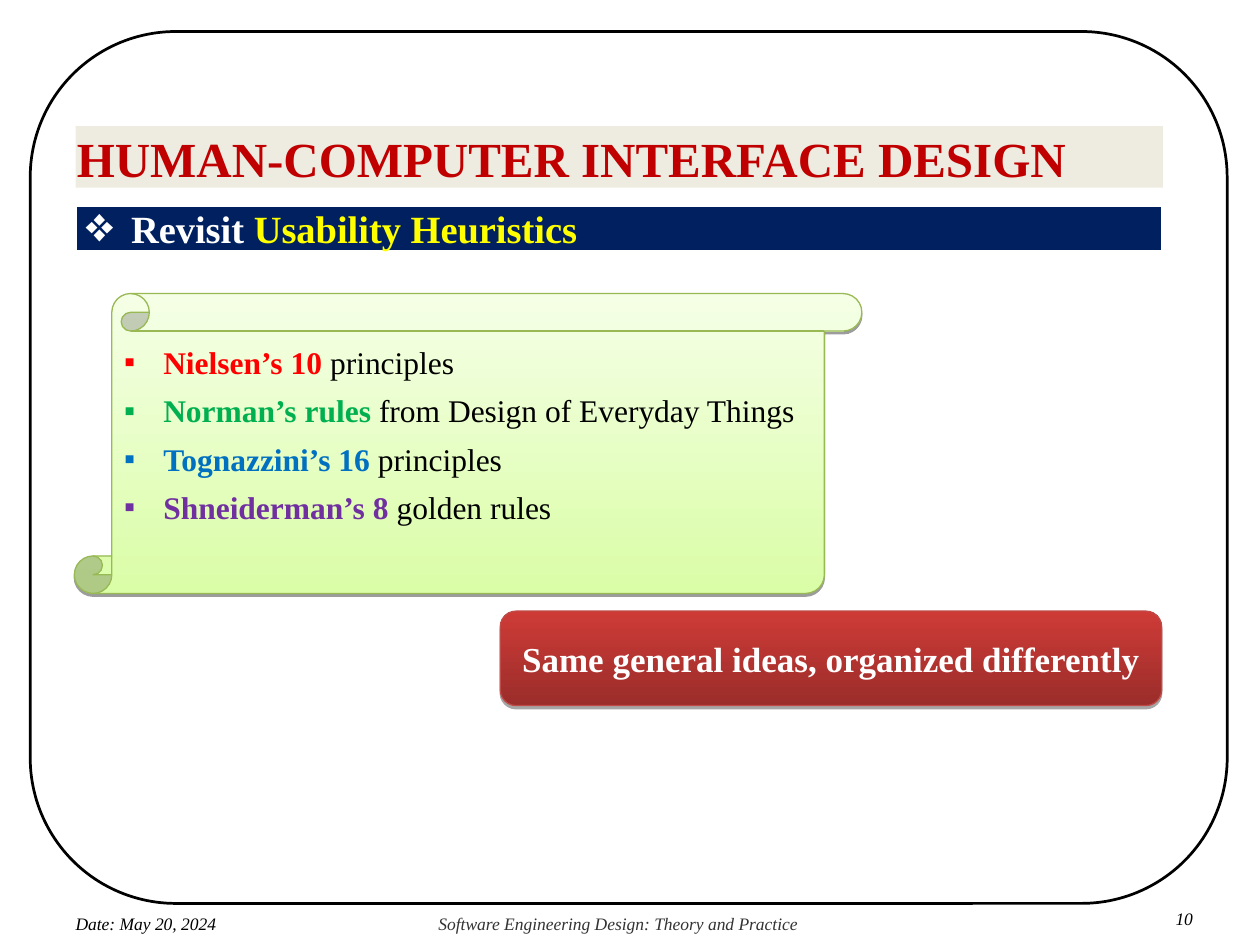
from lxml import etree
from pptx import Presentation
from pptx.dml.color import RGBColor
from pptx.enum.shapes import MSO_SHAPE
from pptx.enum.text import MSO_ANCHOR, MSO_AUTO_SIZE, PP_ALIGN
from pptx.oxml.ns import qn
from pptx.util import Inches, Pt

FONT = "Times New Roman"
ROUND = MSO_SHAPE.ROUNDED_RECTANGLE
SCROLL = MSO_SHAPE.VERTICAL_SCROLL
TOP, MIDDLE = MSO_ANCHOR.TOP, MSO_ANCHOR.MIDDLE
LEFT, CENTER = PP_ALIGN.LEFT, PP_ALIGN.CENTER
FIXED = MSO_AUTO_SIZE.NONE

RULES = [
    ("Nielsen’s 10 ", "principles", "FF0000"),
    ("Norman’s rules ", "from Design of Everyday Things", "00B050"),
    ("Tognazzini’s 16 ", "principles", "0070C0"),
    ("Shneiderman’s 8", " golden rules", "7030A0"),
]
FOOTERS = [
    ("Date: May 20, 2024", 0.59, 7.25, 1.58, 0.01, "000000"),
    ("Software Engineering Design: Theory and Practice",
     3.47, 7.25, 2.89, 0.01, "333333"),
    ("10", 9.22, 7.21, 0.27, 0.11, "000000"),
]


def color(code):
    return RGBColor.from_string(code)


def style(run, size, code, bold=False, italic=False):
    font = run.font
    font.name, font.size = FONT, Pt(size)
    font.bold, font.italic = bold, italic
    font.color.rgb = color(code)


def setup(frame, left, top, right, bottom, anchor=TOP):
    frame.word_wrap = True
    frame.auto_size = FIXED
    frame.vertical_anchor = anchor
    frame.margin_left, frame.margin_top = Inches(left), Inches(top)
    frame.margin_right, frame.margin_bottom = Inches(right), Inches(bottom)


def place(shape, left, top, width, height):
    shape.left, shape.top = Inches(left), Inches(top)
    shape.width, shape.height = Inches(width), Inches(height)


def bullet(para, mark, code, left, hang):
    props = para._p.get_or_add_pPr()
    props.set("marL", str(Inches(left)))
    props.set("indent", str(-Inches(hang)))
    tint = etree.SubElement(props, qn("a:buClr"))
    etree.SubElement(tint, qn("a:srgbClr"), val=code)
    etree.SubElement(props, qn("a:buFont"), typeface=FONT)
    etree.SubElement(props, qn("a:buChar"), char=mark)
    para.alignment = LEFT


def panel(slide, kind, box, adjust, low, high, edge, alpha, drop):
    """Shape with a bottom-to-top gradient and a shadow below it."""
    shape = slide.shapes.add_shape(kind, *map(Inches, box))
    shape.adjustments[0] = adjust
    shape.fill.gradient()
    shape.fill.gradient_angle = 90
    for stop, code in zip(shape.fill.gradient_stops, (low, high)):
        stop.color.rgb = color(code)
    shape.line.color.rgb = color(edge)
    shape.line.width = Pt(0.75)
    shape.shadow.inherit = False
    effects = shape._element.spPr.find(qn("a:effectLst"))
    shade = etree.SubElement(effects, qn("a:outerShdw"), blurRad="0",
                             dist=str(Pt(drop)), dir="5400000",
                             rotWithShape="0")
    tint = etree.SubElement(shade, qn("a:srgbClr"), val="000000")
    etree.SubElement(tint, qn("a:alpha"), val=str(alpha * 1000))
    return shape


def border(slide):
    box = map(Inches, (0.24, 0.25, 9.5, 6.92))
    shape = slide.shapes.add_shape(ROUND, *box)
    shape.adjustments[0] = 0.167
    shape.fill.background()
    shape.line.color.rgb = color("000000")
    shape.line.width = Pt(1.56)
    shape.shadow.inherit = False


def heading(slide):
    title = slide.shapes.title
    place(title, 0.6, 1, 8.63, 0.49)
    title.fill.solid()
    title.fill.fore_color.rgb = color("EEECE1")
    frame = title.text_frame
    setup(frame, 0.01, 0.02, 0, 0)
    frame.text = "HUMAN-COMPUTER INTERFACE DESIGN"
    para = frame.paragraphs[0]
    para.alignment = LEFT
    style(para.runs[0], 28, "C00000", bold=True)


def topic(slide):
    bar = slide.placeholders[1]
    place(bar, 0.6, 1.63, 8.63, 0.37)
    bar.fill.solid()
    bar.fill.fore_color.rgb = color("002060")
    bar.line.color.rgb = color("FFFFFF")
    bar.line.width = Pt(2)
    setup(bar.text_frame, 0, 0, 0, 0)
    para = bar.text_frame.paragraphs[0]
    bullet(para, "❖", "FFFFFF", 0.44, 0.37)
    para.space_before = Pt(0)
    for text, code in (("Revisit ", "FFFFFF"),
                       ("Usability Heuristics", "FFFF00")):
        run = para.add_run()
        run.text = text
        style(run, 22, code, bold=True)


def scroll(slide):
    shape = panel(slide, SCROLL, (0.59, 2.33, 6.25, 2.38), 0.125,
                  "DAFDA7", "F5FFE6", "98B954", 38, 1.6)
    frame = shape.text_frame
    # The deep bottom margin lifts the list above the middle
    setup(frame, 0.1, 0.05, 0.1, 0.34, MIDDLE)
    for i, (name, rest, code) in enumerate(RULES):
        para = frame.add_paragraph() if i else frame.paragraphs[0]
        bullet(para, "▪", code, 0.31, 0.31)
        para.space_after = Pt(6)
        for text, tint, bold in ((name, code, True),
                                 (rest, "000000", False)):
            run = para.add_run()
            run.text = text
            style(run, 18, tint, bold)


def button(slide):
    shape = panel(slide, ROUND, (3.97, 4.85, 5.25, 0.75), 0.167,
                  "9B2D2A", "CE3B37", "BE4B48", 35, 1.8)
    frame = shape.text_frame
    setup(frame, 0.1, 0.05, 0.1, 0.05, MIDDLE)
    frame.text = "Same general ideas, organized differently"
    para = frame.paragraphs[0]
    para.alignment = CENTER
    style(para.runs[0], 20, "FFFFFF", bold=True)


def footer(slide, text, left, top, width, inset, code):
    box = slide.shapes.add_textbox(*map(Inches, (left, top, width, 0.16)))
    frame = box.text_frame
    setup(frame, inset, 0, 0, 0)
    frame.text = text
    para = frame.paragraphs[0]
    para.line_spacing = Pt(11.8)
    style(para.runs[0], 10, code, italic=True)


def main():
    deck = Presentation()
    deck.slide_width, deck.slide_height = Inches(10), Inches(7.5)
    slide = deck.slides.add_slide(deck.slide_layouts[1])
    # Frame and headings
    border(slide)
    heading(slide)
    topic(slide)
    # Content
    button(slide)
    scroll(slide)
    # Footer line
    for item in FOOTERS:
        footer(slide, *item)
    deck.save("out.pptx")


if __name__ == "__main__":
    main()
